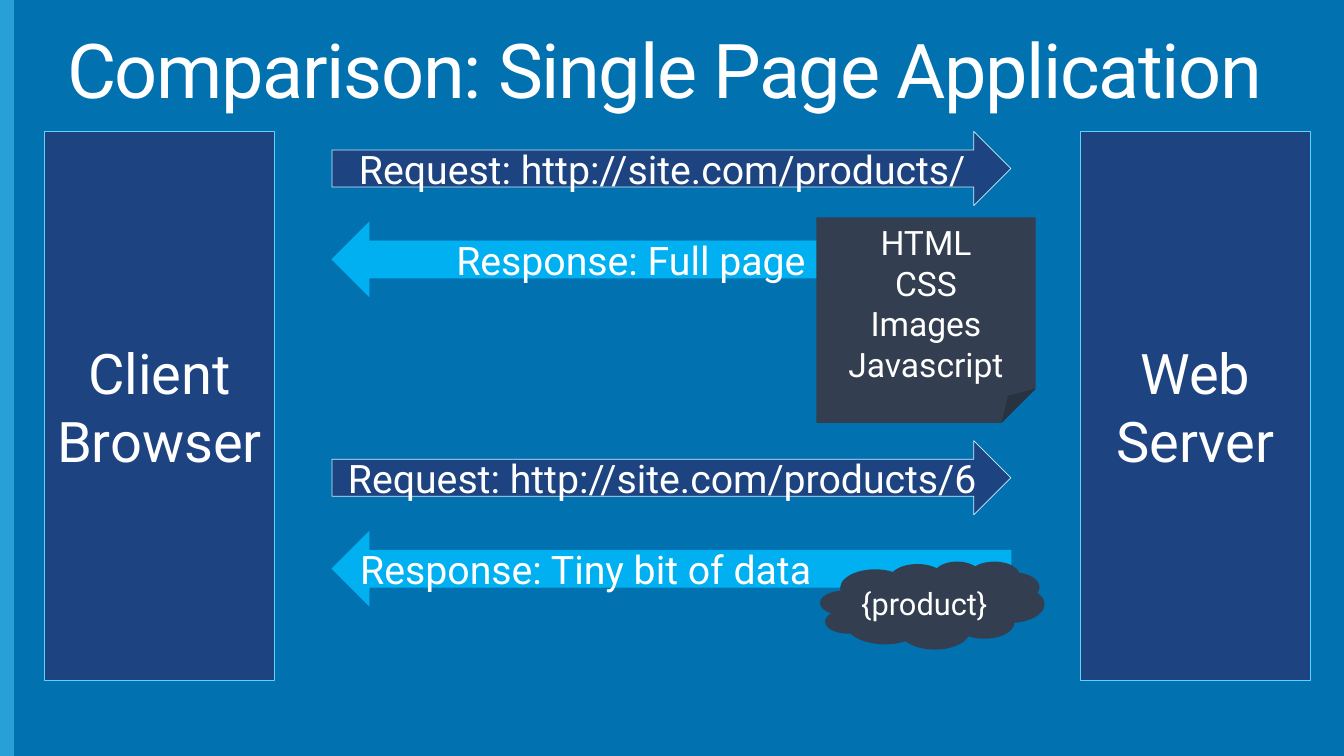
from pptx import Presentation
from pptx.dml.color import RGBColor
from pptx.enum.shapes import MSO_SHAPE
from pptx.enum.text import MSO_ANCHOR, MSO_AUTO_SIZE, PP_ALIGN
from pptx.util import Inches, Pt

RECT, NOTE, CLOUD = MSO_SHAPE.RECTANGLE, MSO_SHAPE.FOLDED_CORNER, MSO_SHAPE.CLOUD
RIGHT, LEFT = MSO_SHAPE.RIGHT_ARROW, MSO_SHAPE.LEFT_ARROW
CENTER, START = PP_ALIGN.CENTER, PP_ALIGN.LEFT

COLORS = {
    "background": "0171B0",
    "stripe": "289FD7",
    "navy": "1D4380",
    "box_line": "5DD4FF",
    "request_line": "C9F1FF",
    "response": "00B0F0",
    "payload": "333F50",
    "text": "FFFFFF",
}
RGB = {name: RGBColor.from_string(value) for name, value in COLORS.items()}
FONT = "Roboto"
TOP = 1.33
BOX_W, BOX_H = 2.33, 5.56
ARROW_X, ARROW_W, ARROW_H = 3.36, 6.87, 0.75
EXCHANGE_STEP, RESPONSE_STEP = 3.13, 0.92


def add_run(p, text, size):
    r = p.add_run()
    r.text = text
    r.font.name = FONT
    r.font.size = Pt(size)
    r.font.color.rgb = RGB["text"]
    return r


def add_block(kind, box, fill, line=None, lines=(), size=0, align=CENTER):
    sp = s.shapes.add_shape(kind, *[Inches(v) for v in box])
    sp.shadow.inherit = False
    sp.fill.solid()
    sp.fill.fore_color.rgb = RGB[fill]
    if line:
        sp.line.color.rgb = RGB[line]
        sp.line.width = Pt(0.5)
    else:
        sp.line.fill.background()
    tf = sp.text_frame
    tf.word_wrap = True
    tf.vertical_anchor = MSO_ANCHOR.MIDDLE
    for i, text in enumerate(lines):
        p = tf.add_paragraph() if i else tf.paragraphs[0]
        p.alignment = align
        add_run(p, text, size)
    return sp


prs = Presentation()
prs.slide_width, prs.slide_height = Inches(13.6), Inches(7.65)
s = prs.slides.add_slide(prs.slide_layouts[5])
s.background.fill.solid()
s.background.fill.fore_color.rgb = RGB["background"]

title = s.shapes.title
title.left, title.top = Inches(0.58), Inches(0.25)
title.width, title.height = Inches(12.44), Inches(0.83)
tf = title.text_frame
tf.auto_size = MSO_AUTO_SIZE.NONE
tf.vertical_anchor = MSO_ANCHOR.TOP
tf.margin_top = Inches(0.09)
p = tf.paragraphs[0]
p.alignment = START
p.line_spacing = 0.9
r = add_run(p, "Comparison: Single Page Application", 55.1)
r._r.get_or_add_rPr().set("spc", "-100")

add_block(RECT, (0, 0, 0.14, 7.65), "stripe")
for x, lines in ((0.45, ["Client Browser"]), (10.93, ["Web", "Server"])):
    add_block(RECT, (x, TOP, BOX_W, BOX_H), "navy", "box_line", lines, 40.8)

exchanges = [
    ("Request: http://site.com/products/", "Response: Full page", 1.07),
    ("Request: http://site.com/products/6", "Response: Tiny bit of data", 0.1),
]
for i, (request, response, inset) in enumerate(exchanges):
    y = TOP + i * EXCHANGE_STEP
    add_block(RIGHT, (ARROW_X, y, ARROW_W, ARROW_H), "navy", "request_line",
              [request], 28.6)
    sp = add_block(LEFT, (ARROW_X, y + RESPONSE_STEP, ARROW_W, ARROW_H),
                   "response", "response", [response], 28.6, START)
    sp.text_frame.margin_left = Inches(inset)

add_block(NOTE, (8.26, 2.2, 2.22, 2.08), "payload",
          lines=["HTML", "CSS", "Images", "Javascript"], size=24.5)
add_block(CLOUD, (8.3, 5.68, 2.27, 0.89), "payload", lines=["{product}"], size=22.4)

prs.save("out.pptx")
